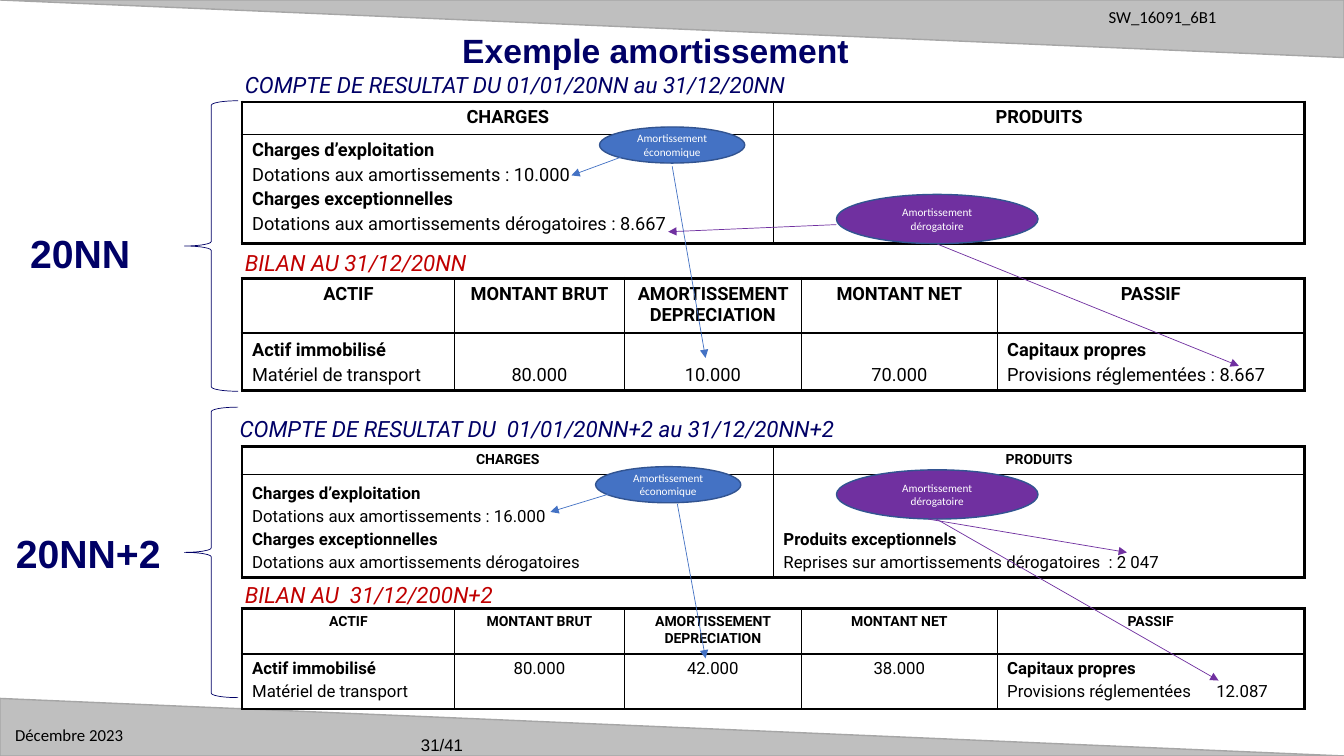
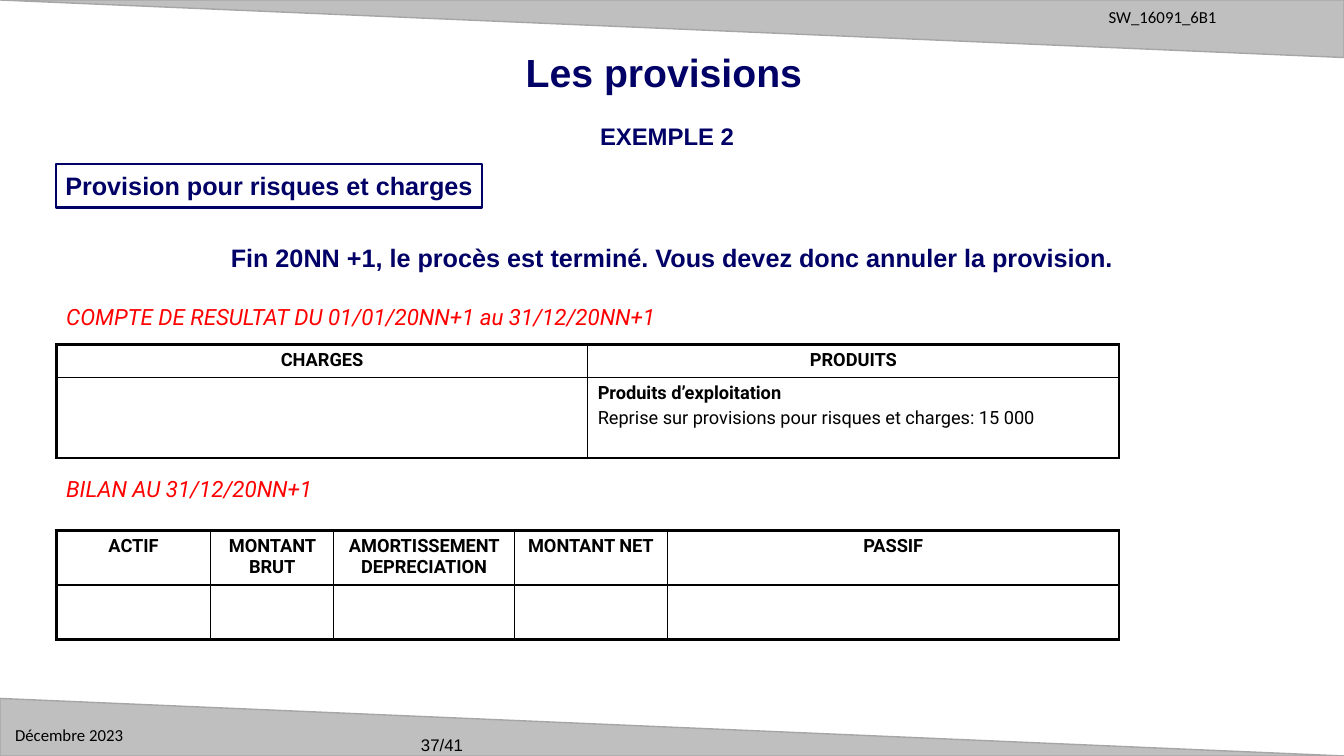
from pptx import Presentation
from pptx.dml.color import RGBColor
from pptx.enum.shapes import MSO_CONNECTOR, MSO_SHAPE
from pptx.enum.text import MSO_ANCHOR, PP_ALIGN
from pptx.oxml.ns import qn
from pptx.util import Cm, Pt
from lxml.etree import SubElement

LEFT, CENTER = PP_ALIGN.LEFT, PP_ALIGN.CENTER
TOP, MIDDLE, BOTTOM = MSO_ANCHOR.TOP, MSO_ANCHOR.MIDDLE, MSO_ANCHOR.BOTTOM
LINE = MSO_CONNECTOR.STRAIGHT
BAND, BRACE = MSO_SHAPE.RIGHT_TRIANGLE, MSO_SHAPE.LEFT_BRACE
BAND, RECT, OVAL = MSO_SHAPE.ISOSCELES_TRIANGLE, MSO_SHAPE.RECTANGLE, MSO_SHAPE.OVAL

NAVY = RGBColor(0x00, 0x00, 0x66)
BLACK = RGBColor(0x00, 0x00, 0x00)
WHITE = RGBColor(0xFF, 0xFF, 0xFF)
SILVER = RGBColor(0xBF, 0xBF, 0xBF)
GREY = RGBColor(0xA6, 0xA6, 0xA6)
CRIMSON = RGBColor(0xC0, 0x00, 0x00)
RED = RGBColor(0xFF, 0x00, 0x00)
BLUE = RGBColor(0x44, 0x72, 0xC4)
EDGE = RGBColor(0x32, 0x54, 0x91)
PURPLE = RGBColor(0x70, 0x30, 0xA0)

WIDTH, HEIGHT = 33.87, 19.05
BAND_H = 1.45
THICK, THIN = 2.25, 1
TAB = 5.27

RESULT = ["CHARGES", "PRODUITS"]
BALANCE = ["ACTIF", "MONTANT BRUT", "AMORTISSEMENT DEPRECIATION",
           "MONTANT NET", "PASSIF"]
HALVES = [13.39, 13.39]
FIFTHS = [5.36, 4.27, 4.47, 4.93, 7.74]


class Deck:
    """Holds the shared style and the slide being filled."""

    def __init__(self):
        self.file = Presentation()
        self.file.slide_width, self.file.slide_height = Cm(WIDTH), Cm(HEIGHT)
        self.shapes = None

    def start(self, page):
        """Open a slide with its bands and footers."""
        layout = self.file.slide_layouts[6]
        self.shapes = self.file.slides.add_slide(layout).shapes
        for top, turn in ((0, 180), (HEIGHT - BAND_H, 0)):
            band = self.shape(BAND, 0, top, WIDTH, BAND_H, SILVER, GREY)
            band.adjustments[0] = 0
            band.rotation = turn
        self.text("SW_16091_6B1", 27.69, 0.05, 6, 12, BLACK, "Calibri")
        self.text("Décembre 2023", 0.13, 18.14, 4, 12, BLACK, "Calibri")
        self.text(page, 10.36, 18.38, 3, 12, BLACK)

    def style(self, para, size, color, font="Arial", bold=False,
              italic=False, align=LEFT):
        para.alignment = align
        face = para.font
        face.name, face.size, face.color.rgb = font, Pt(size), color
        face.bold, face.italic = bold, italic

    def text(self, words, left, top, width, size, color=NAVY, font="Arial",
             **look):
        box = self.shapes.add_textbox(Cm(left), Cm(top), Cm(width),
                                      Cm(size * 0.043 + 0.25))
        frame = box.text_frame
        frame.word_wrap = True
        frame.text = words
        self.style(frame.paragraphs[0], size, color, font, **look)

    def title(self, words, left, top, size):
        self.text(words, left, top, 14, size, bold=True)

    def label(self, words, left, top, color):
        """Caption above a table."""
        self.text(words, left, top, 18, 16, color, "Roboto", italic=True)

    def shape(self, kind, left, top, width, height, fill, edge, weight=1):
        item = self.shapes.add_shape(kind, Cm(left), Cm(top), Cm(width),
                                     Cm(height))
        item.shadow.inherit = False
        if fill is None:
            item.fill.background()
        else:
            item.fill.solid()
            item.fill.fore_color.rgb = fill
        item.line.color.rgb, item.line.width = edge, Pt(weight)
        return item

    def fill_in(self, item, words, size, color, font, bold=False):
        """Write centred words in a shape."""
        frame = item.text_frame
        frame.word_wrap, frame.vertical_anchor = True, MIDDLE
        frame.text = words
        self.style(frame.paragraphs[0], size, color, font, bold, align=CENTER)

    def bubble(self, words, left, top, width, height, color):
        item = self.shape(OVAL, left, top, width, height, color, EDGE)
        self.fill_in(item, words, 8, WHITE, "Calibri")

    def frame(self, words, left, top, width, height):
        item = self.shape(RECT, left, top, width, height, WHITE, NAVY, 1.5)
        for side in ("left", "right"):
            setattr(item.text_frame, "margin_" + side, Cm(0.1))
        self.fill_in(item, words, 18, NAVY, "Arial", True)

    def brace(self, left, top, width, height):
        self.shape(BRACE, left, top, width, height, None, NAVY, 0.5)

    def arrow(self, color, *ends):
        item = self.shapes.add_connector(LINE, *[Cm(end) for end in ends])
        item.line.color.rgb, item.line.width = color, Pt(0.5)
        SubElement(item.line._get_or_add_ln(), qn("a:tailEnd"),
                   type="triangle")
        SubElement(item._element.spPr, qn("a:effectLst"))

    def border(self, cell, **widths):
        props = cell._tc.get_or_add_tcPr()
        for side, width in widths.items():
            line = SubElement(props, qn("a:ln" + side), w=str(Pt(width)))
            paint = SubElement(line, qn("a:solidFill"))
            SubElement(paint, qn("a:srgbClr"), val=str(BLACK))

    def cell(self, cell, words, size, head, anchor):
        """Headings alternate with entries; a lone amount is centred."""
        cell.fill.background()
        cell.vertical_anchor = anchor
        cell.text = words
        paras = cell.text_frame.paragraphs
        single = len(paras) == 1
        for i, para in enumerate(paras):
            para.space_before = Pt(size * 0.2)
            if "\t" in para.text:
                stops = SubElement(para._p.get_or_add_pPr(), qn("a:tabLst"))
                SubElement(stops, qn("a:tab"), pos=str(Cm(TAB)), algn="l")
            self.style(para, size, BLACK, "Roboto",
                       head or (not single and i % 2 == 0),
                       align=CENTER if single else LEFT)

    def table(self, left, top, cols, rows, heads, body, sizes=(13, 13),
              anchor=TOP):
        grid = self.shapes.add_table(2, len(cols), Cm(left), Cm(top),
                                     Cm(sum(cols)), Cm(sum(rows))).table
        grid.first_row = grid.horz_banding = False
        for col, width in zip(grid.columns, cols):
            col.width = Cm(width)
        last = len(cols) - 1
        for r, line in enumerate((heads, body)):
            grid.rows[r].height = Cm(rows[r])
            for c, words in enumerate(line):
                cell = grid.cell(r, c)
                self.border(cell, L=THIN if c else THICK,
                            R=THICK if c == last else THIN,
                            T=THIN if r else THICK, B=THICK if r else THIN)
                self.cell(cell, words, sizes[r], r == 0,
                          anchor if r else TOP)


def year(deck, name, spot, brace, result, balance, bubbles, arrows):
    """One year: its result account, balance sheet and pointers."""
    deck.label(*result[0], NAVY)
    deck.table(6.1, result[1], HALVES, result[2], RESULT, *result[3:])
    deck.label(*balance[0], CRIMSON)
    deck.table(6.1, balance[1], FIFTHS, balance[2], BALANCE, *balance[3:])
    deck.brace(4.65, brace, 1.35, 7.32)
    deck.text(name, *spot, 4.5, 28, bold=True)
    blue, purple = bubbles
    deck.bubble("Amortissement économique", *blue, 3.66, 0.91, BLUE)
    deck.bubble("Amortissement dérogatoire", *purple, 5.08, 1.24, PURPLE)
    for color, ends in zip((BLUE, BLUE, PURPLE, PURPLE), arrows):
        deck.arrow(color, *ends)


def example(deck):
    deck.start("31/41")
    deck.title("Exemple amortissement", 11.4, 0.64, 24)
    year(deck, "20NN", (0.51, 5.66), 2.54,
         [("COMPTE DE RESULTAT DU 01/01/20NN au 31/12/20NN", 5.92, 1.68),
          2.57, (0.82, 2.75),
          ["Charges d’exploitation\nDotations aux amortissements : 10.000\n"
           "Charges exceptionnelles\n"
           "Dotations aux amortissements dérogatoires : 8.667", ""]],
         [("BILAN AU 31/12/20NN", 5.92, 6.15), 7.01, (1.38, 1.45),
          ["Actif immobilisé\nMatériel de transport", "80.000", "10.000",
           "70.000", "Capitaux propres\nProvisions réglementées : 8.667"],
          (13, 13), BOTTOM],
         [(15.11, 3.2), (21.08, 4.9)],
         [(15.65, 3.96, 14.4, 4.42), (16.94, 4.19, 17.78, 9.02),
          (21.08, 5.66, 16.84, 5.84), (23.62, 6.15, 31.22, 9.22)])
    year(deck, "20NN+2", (0.15, 13.21), 10.26,
         [("COMPTE DE RESULTAT DU  01/01/20NN+2 au 31/12/20NN+2", 5.79, 10.34),
          11.25, (0.7, 2.6),
          ["Charges d’exploitation\nDotations aux amortissements : 16.000\n"
           "Charges exceptionnelles\n"
           "Dotations aux amortissements dérogatoires",
           "Produits exceptionnels\n"
           "Reprises sur amortissements dérogatoires  : 2 047"],
          (10, 12), BOTTOM],
         [("BILAN AU  31/12/200N+2", 5.92, 14.53), 15.34, (1.14, 1.39),
          ["Actif immobilisé\nMatériel de transport", "80.000", "42.000",
           "38.000", "Capitaux propres\nProvisions réglementées\t12.087"],
          (10, 12)],
         [(15.01, 11.76), (21.08, 11.84)],
         [(15.44, 12.42, 13.87, 12.9), (17.07, 12.7, 17.78, 16.59),
          (23.39, 13.08, 28.4, 13.92), (23.6, 13.08, 30.71, 17.15)])


def risks(deck):
    left = 1.42
    deck.start("37/41")
    deck.title("Les provisions", 13, 1.09, 28)
    deck.text("EXEMPLE 2", 9.37, 2.95, 14.88, 17.1, bold=True, align=CENTER)
    deck.frame("Provision pour risques et charges", left, 4.14, 10.72, 1.09)
    deck.text("Fin 20NN +1, le procès est terminé. "
              "Vous devez donc annuler la provision.",
              0, 5.97, WIDTH, 18, bold=True, align=CENTER)
    deck.label("COMPTE DE RESULTAT DU 01/01/20NN+1 au 31/12/20NN+1",
               left, 7.52, RED)
    deck.table(left, 8.69, HALVES, (0.82, 2.03), RESULT,
               ["", "Produits d’exploitation\n"
                "Reprise sur provisions pour risques et charges: 15 000"])
    deck.label("BILAN AU 31/12/20NN+1", left, 11.86, RED)
    deck.table(left, 13.36, [3.89, 3.1, 4.55, 3.86, 11.38], (1.38, 1.38),
               BALANCE, [""] * 5)


def main():
    deck = Deck()
    example(deck)
    risks(deck)
    deck.file.save("out.pptx")


if __name__ == "__main__":
    main()
